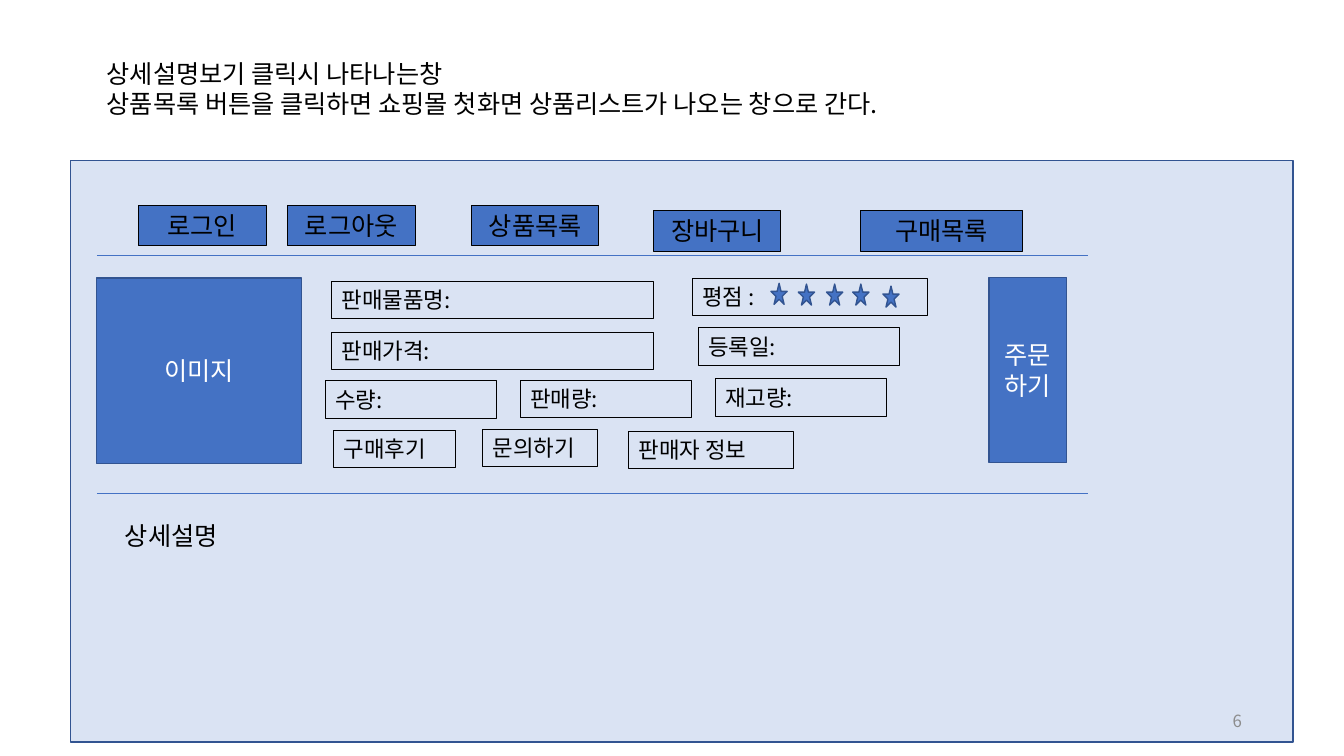
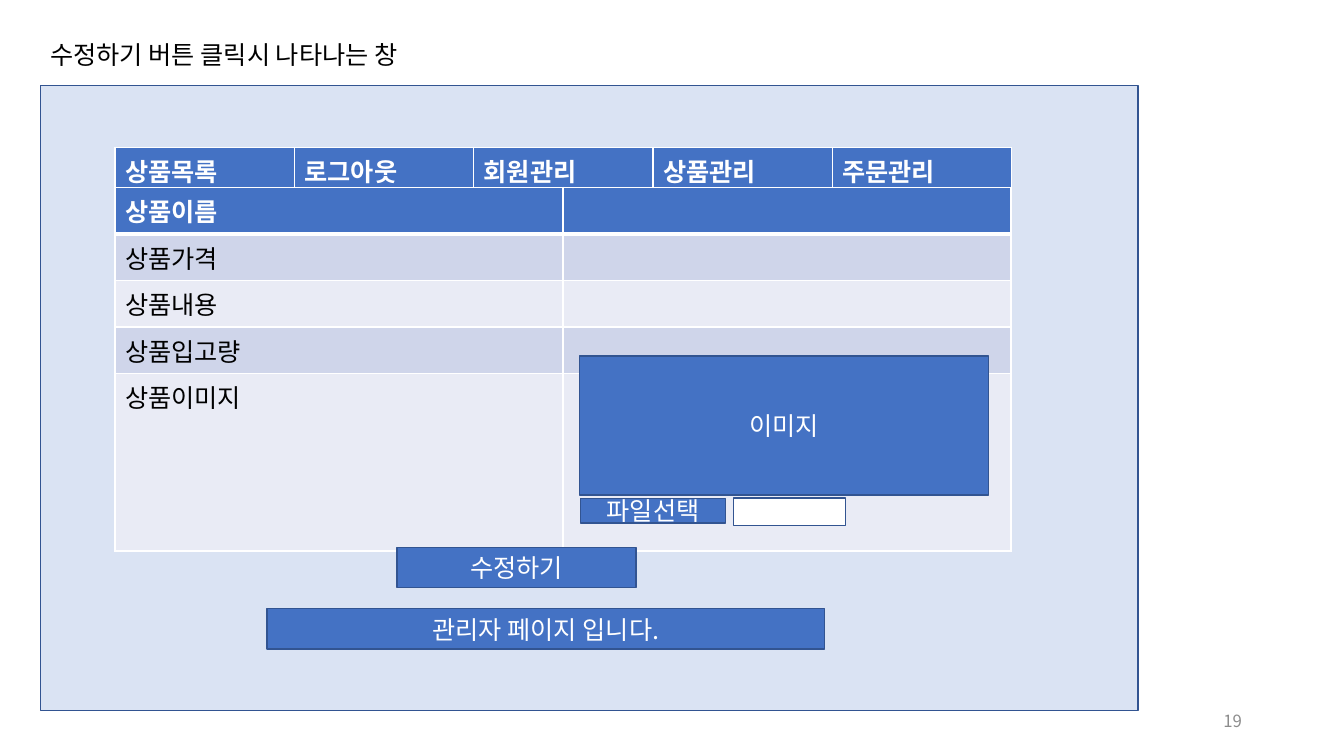
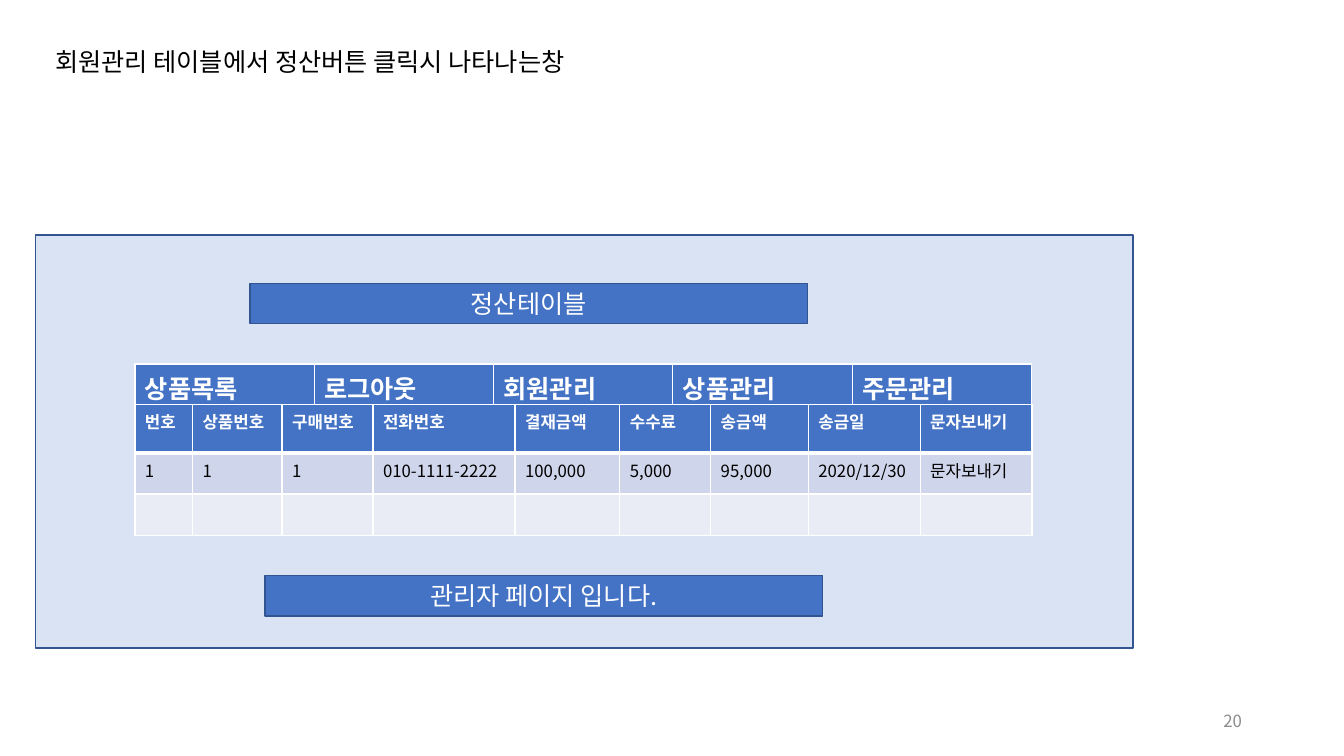
from lxml.etree import SubElement
from pptx import Presentation
from pptx.dml.color import RGBColor
from pptx.enum.shapes import MSO_CONNECTOR, MSO_SHAPE
from pptx.enum.text import MSO_ANCHOR, PP_ALIGN
from pptx.oxml.ns import qn
from pptx.util import Cm, Pt

# Shared theme
FONT = "Noto Sans CJK KR"
BLUE, EDGE, PALE = "4472C4", "325491", "DAE3F3"
WHITE, BLACK, GREY = "FFFFFF", "000000", "8C8C8C"
BANDS = ["CFD5EA", "E9EBF5"]
MENU = ["상품목록", "로그아웃", "회원관리", "상품관리", "주문관리"]
ADMIN = "관리자 페이지 입니다."

# Shape looks: fill, line, line width and text format
MID = dict(align=PP_ALIGN.CENTER, anchor=MSO_ANCHOR.MIDDLE)
LOOKS = {
    "panel": (PALE, EDGE, 1, {}),
    "block": (BLUE, EDGE, 1, dict(hue=WHITE, **MID)),
    "input": (WHITE, EDGE, 1, {}),
    "field": (None, BLACK, 0.75, dict(size=16)),
    "button": (BLUE, BLACK, 0.75, dict(align=PP_ALIGN.CENTER)),
    "star": (BLUE, EDGE, 1, {}),
}


def tint(fill, hue):
    if hue is None:
        fill.background()
    else:
        fill.solid()
        fill.fore_color.rgb = RGBColor.from_string(hue)


def put(frame, text, size=18, hue=BLACK, bold=False,
        align=PP_ALIGN.LEFT, anchor=MSO_ANCHOR.TOP):
    frame.word_wrap = True
    frame.vertical_anchor = anchor
    for i, line in enumerate(text.split("\n")):
        para = frame.add_paragraph() if i else frame.paragraphs[0]
        para.alignment = align
        run = para.add_run()
        run.text = line
        font = run.font
        font.size, font.bold, font.name = Pt(size), bold, FONT
        tint(font.fill, hue)
        SubElement(run._r.get_or_add_rPr(), qn("a:ea"), typeface=FONT)


# Product page: buttons, fields and rating stars
detail = [
    ("block", "이미지", 2.44, 7.01, 5.16, 4.67),
    ("block", "주문하기", 24.92, 6.99, 1.96, 4.67),
]
for text, left, top, width in [
        ("로그인", 3.48, 5.18, 3.23), ("로그아웃", 7.24, 5.18, 3.23),
        ("상품목록", 11.89, 5.18, 3.2), ("장바구니", 16.48, 5.31, 3.2),
        ("구매목록", 21.69, 5.31, 4.09)]:
    detail.append(("button", text, left, top, width, 1.02))
for text, left, top, width in [
        ("판매물품명:", 8.36, 7.09, 8.1), ("평점 :", 17.45, 7.01, 5.92),
        ("판매가격:", 8.36, 8.38, 8.1), ("등록일:", 17.6, 8.26, 5.08),
        ("수량:", 8.2, 9.6, 4.32), ("판매량:", 13.11, 9.58, 4.32),
        ("재고량:", 18.03, 9.55, 4.32), ("구매후기", 8.41, 10.85, 3.07),
        ("문의하기", 12.17, 10.82, 2.9), ("판매자 정보", 15.85, 10.87, 4.14)]:
    detail.append(("field", text, left, top, width, 0.94))
for left, top in [(19.43, 7.14), (20.12, 7.16), (20.83, 7.16),
                  (21.49, 7.16), (22.25, 7.21)]:
    detail.append(("star", "", left, top, 0.41, 0.53))

# Edit page: form controls
edit = [
    ("block", ADMIN, 6.73, 15.34, 14.05, 1.02),
    ("block", "파일선택", 14.63, 12.57, 3.66, 0.61),
    ("input", "", 18.49, 12.55, 2.82, 0.69),
    ("block", "수정하기", 10.01, 13.79, 6.02, 1.02),
    ("block", "이미지", 14.61, 8.97, 10.31, 3.51),
]
goods = [[name, ""] for name in
         ["상품이름", "상품가격", "상품내용", "상품입고량", "상품이미지"]]

# Payout page: heading, footer and payments
payout = [
    ("block", "정산테이블", 6.3, 7.14, 14.05, 1.02),
    ("block", ADMIN, 6.68, 14.5, 14.05, 1.02),
]
sums = [
    ["번호", "상품번호", "구매번호", "전화번호", "결재금액", "수수료",
     "송금액", "송금일", "문자보내기"],
    ["1", "1", "1", "010-1111-2222", "100,000", "5,000",
     "95,000", "2020/12/30", "문자보내기"],
    [""] * 9,
]

# Pages: number, notes, panel, rules, tables, parts
# Table: left, top, column widths, row heights, text size, rows
tabs = [4.52] * 5
pages = [
    (6, [("상세설명보기 클릭시 나타나는창\n상품목록 버튼을 클릭하면 쇼핑몰 "
          "첫화면 상품리스트가 나오는 창으로 간다.", 2.44, 1.35, 23.8, 1.8),
         ("상세설명", 2.9, 12.98, 24.74, 1.02)],
     (1.78, 4.04, 30.81, 14.66), [6.43, 12.42], [], detail),
    (19, [("수정하기 버튼 클릭시 나타나는 창", 1.02, 0.86, 30.61, 1.02)],
     (1.02, 2.16, 27.66, 15.75), [],
     [(2.9, 3.71, tabs, [1.01], 18, [MENU]),
      (2.9, 4.72, [11.29] * 2, [1.01, 1.04, 1.04, 1.04, 4.47], 18, goods)],
     edit),
    (20, [("회원관리 테이블에서 정산버튼 클릭시 나타나는창",
           1.14, 1.04, 32.13, 1.02)],
     (0.89, 5.92, 27.66, 10.41), [],
     [(3.4, 9.17, tabs, [1.01], 18, [MENU]),
      (3.4, 10.19, [1.45, 2.26, 2.29, 3.58, 2.64, 2.29, 2.46, 2.82, 2.82],
       [1.22, 1.04, 1.04], 12, sums)],
     payout),
]

deck = Presentation()
deck.slide_width, deck.slide_height = Cm(33.87), Cm(19.05)

for number, notes, panel, rules, tables, parts in pages:
    slide = deck.slides.add_slide(deck.slide_layouts[6])
    shapes = slide.shapes

    # Panel, then tables, then the parts on top of them
    for step in [("panel", "", *panel), *tables, *parts]:
        if step[0] in LOOKS:
            look, text, *place = step
            fill, line, width, style = LOOKS[look]
            kind = MSO_SHAPE.STAR_5_POINT if look == "star" else MSO_SHAPE.RECTANGLE
            shape = shapes.add_shape(kind, *map(Cm, place))
            shape.shadow.inherit = False
            tint(shape.fill, fill)
            tint(shape.line.fill, line)
            shape.line.width = Pt(width)
            if text:
                put(shape.text_frame, text, **style)
            continue

        left, top, cols, heights, size, rows = step
        grid = shapes.add_table(len(rows), len(cols), Cm(left), Cm(top),
                                Cm(sum(cols)), Cm(sum(heights))).table
        for col, width in zip(grid.columns, cols):
            col.width = Cm(width)
        for r, (row, height) in enumerate(zip(rows, heights)):
            grid.rows[r].height = Cm(height)
            for c, text in enumerate(row):
                cell = grid.cell(r, c)
                put(cell.text_frame, text, size=size, bold=r == 0,
                    hue=BLACK if r else WHITE)
                for side in "LRTB":
                    thick = (r, side) in [(0, "B"), (1, "T")]
                    edge = SubElement(cell._tc.get_or_add_tcPr(),
                                      qn("a:ln" + side),
                                      w=str(Pt(3 if thick else 1)))
                    solid = SubElement(edge, qn("a:solidFill"))
                    SubElement(solid, qn("a:srgbClr"), val=WHITE)
                tint(cell.fill, BANDS[(r - 1) % 2] if r else BLUE)

    # Dividing rules
    for y in rules:
        rule = shapes.add_connector(MSO_CONNECTOR.STRAIGHT,
                                    Cm(2.44), Cm(y), Cm(27.43), Cm(y))
        tint(rule.line.fill, BLUE)
        rule.line.width = Pt(0.5)
        SubElement(rule._element.spPr, qn("a:effectLst"))

    # Notes and page number
    for text, *place in notes:
        put(shapes.add_textbox(*map(Cm, place)).text_frame, text)
    foot = shapes.add_textbox(Cm(23.93), Cm(17.65), Cm(7.62), Cm(1.02))
    put(foot.text_frame, str(number), size=12, hue=GREY,
        align=PP_ALIGN.RIGHT, anchor=MSO_ANCHOR.MIDDLE)

deck.save("out.pptx")
